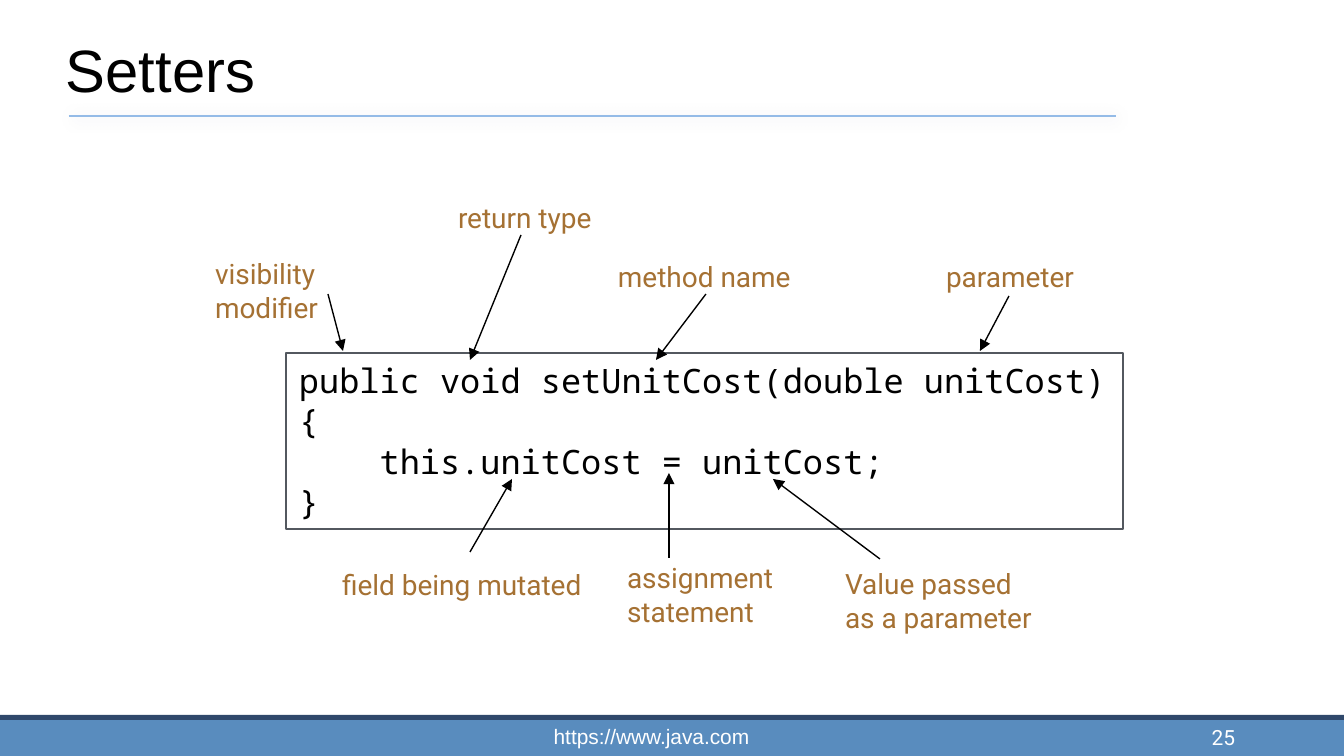
from lxml.etree import SubElement
from pptx import Presentation
from pptx.dml.color import RGBColor
from pptx.enum.shapes import MSO_CONNECTOR, MSO_SHAPE
from pptx.enum.text import MSO_ANCHOR, PP_ALIGN
from pptx.oxml.ns import qn
from pptx.util import Pt

PX = 914400 / 134.4  # EMU in one px

THEME = {
    "ink": RGBColor.from_string("000000"),
    "label": RGBColor.from_string("A57133"),
    "footer_text": RGBColor.from_string("FFFFFF"),
    "footer": RGBColor.from_string("598CBE"),
    "footer_edge": RGBColor.from_string("2F486B"),
    "rule": RGBColor.from_string("94BBE7"),
    "code_border": RGBColor.from_string("53585F"),
    "rule_shadow": "003D62",
    "title_size": Pt(32),
    "code_size": Pt(18),
    "label_size": Pt(15),
    "footer_size": Pt(11.2),
}


def write(shape, lines, font, align=PP_ALIGN.LEFT, anchor=MSO_ANCHOR.TOP, inset=(13, 7)):
    frame = shape.text_frame
    side, end = (round(n * PX) for n in inset)
    layout = {"word_wrap": True, "vertical_anchor": anchor, "margin_left": side,
              "margin_right": side, "margin_top": end, "margin_bottom": end}
    for name, value in layout.items():
        setattr(frame, name, value)
    frame.text = "\n".join(lines)
    name, size, color = font
    for paragraph in frame.paragraphs:
        paragraph.alignment = align
        for run in paragraph.runs:
            for key, value in {"name": name, "size": size}.items():
                setattr(run.font, key, value)
            run.font.color.rgb = color


def draw_line(ends, color, width):
    line = slide.shapes.add_connector(MSO_CONNECTOR.STRAIGHT, *(round(n * PX) for n in ends))
    line.line.color.rgb = color
    line.line.width = Pt(width)
    effects = SubElement(line._element.spPr, qn("a:effectLst"))
    return line, effects


deck = Presentation()
deck.slide_width, deck.slide_height = round(1344 * PX), round(756 * PX)
slide = deck.slides.add_slide(deck.slide_layouts[6])

# Footer bands
for top, height, color in ((720, 36, THEME["footer"]), (715, 5, THEME["footer_edge"])):
    band = slide.shapes.add_shape(MSO_SHAPE.RECTANGLE, 0, round(top * PX),
                                  deck.slide_width, round(height * PX))
    band.shadow.inherit = False
    band.fill.solid()
    band.fill.fore_color.rgb = color
    band.line.fill.background()

# Rule under the title, with a soft shadow
title_rule, rule_effects = draw_line((69, 116, 1116, 116), THEME["rule"], 1)
shadow = SubElement(rule_effects, qn("a:outerShdw"), blurRad=str(Pt(8)), dist=str(Pt(1)),
                    dir=str(45 * 60000), rotWithShape="0")
shadow_color = SubElement(shadow, qn("a:srgbClr"), val=THEME["rule_shadow"])
SubElement(shadow_color, qn("a:alpha"), val="20000")

# Title, page number and web address
footer_style = (THEME["footer_size"], THEME["footer_text"])
for text, box, font, align, inset in (
    ("Setters", (58, 0, 1142, 112), ("Arial", THEME["title_size"], THEME["ink"]),
     PP_ALIGN.LEFT, (8, 8)),
    ("25", (964, 716, 279, 42), ("Roboto", *footer_style), PP_ALIGN.RIGHT, (8, 8)),
    ("https://www.java.com", (473, 719, 357, 35), ("Arial", *footer_style),
     PP_ALIGN.CENTER, (11, 5)),
):
    heading = slide.shapes.add_textbox(*(round(n * PX) for n in box))
    write(heading, [text], font, align, MSO_ANCHOR.BOTTOM, inset)

# Code listing
code = slide.shapes.add_shape(MSO_SHAPE.RECTANGLE, *(round(n * PX) for n in (286, 353, 837, 176)))
code.shadow.inherit = False
code.fill.background()
code.line.color.rgb = THEME["code_border"]
code.line.width = Pt(1)
write(code, ["public void setUnitCost(double unitCost)", "{",
             "    this.unitCost = unitCost;", "}"],
      ("Noto Sans Mono", THEME["code_size"], THEME["ink"]))

# Callouts: lines of text, place and width of the label, ends of its arrow
callouts = (
    (["return type"], (445, 194, 164), (521, 235, 470, 360)),
    (["method name"], (605, 253, 202), (706, 294, 656, 360)),
    (["parameter"], (933, 253, 157), (1009, 296, 980, 351)),
    (["visibility\vmodifier"], (202, 250, 237), (328, 294, 343, 351)),
    (["assignment", "statement"], (614, 554, 181), (669, 558, 669, 473)),
    (["field being mutated"], (329, 561, 273), (470, 552, 512, 479)),
    (["Value passed", "as a parameter"], (832, 560, 219), (880, 559, 773, 479)),
)
for lines, (left, top, width), arrow_ends in callouts:
    height = 13 + 34 * len(lines)
    label = slide.shapes.add_textbox(*(round(n * PX) for n in (left, top, width, height)))
    write(label, lines, ("Roboto", THEME["label_size"], THEME["label"]))
    arrow, _ = draw_line(arrow_ends, THEME["ink"], 0.75)
    SubElement(arrow.line._get_or_add_ln(), qn("a:tailEnd"), type="triangle")

deck.save("out.pptx")
